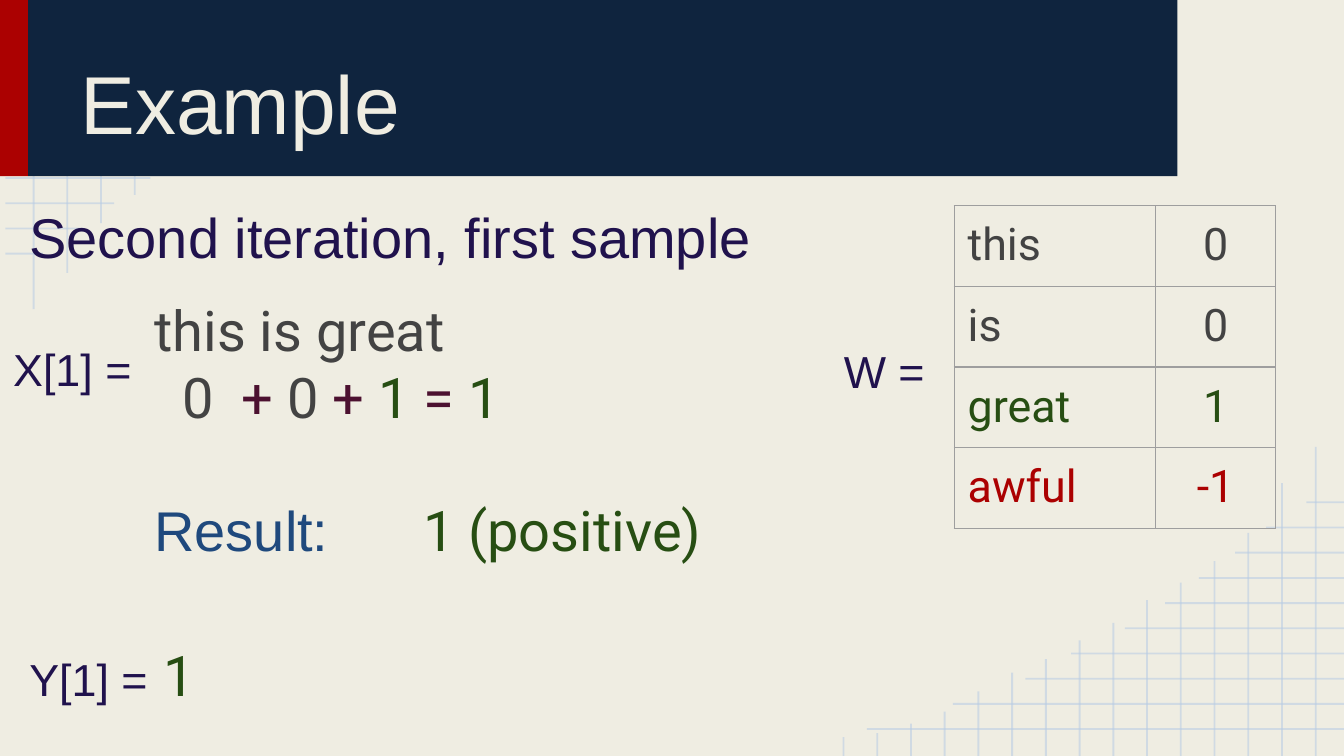
from pptx import Presentation
from pptx.util import Inches, Pt
from pptx.dml.color import RGBColor
from pptx.enum.shapes import MSO_SHAPE, MSO_CONNECTOR
from pptx.enum.text import MSO_ANCHOR, PP_ALIGN
from pptx.oxml import parse_xml
from pptx.oxml.ns import nsdecls
from lxml.etree import SubElement

CREAM, NAVY, RED, GRID = "EFEDE2", "0F243E", "AB0101", "B7CCE4"
INDIGO, GRAY, GREEN, PLUM, BLUE = "20124D", "434343", "274E13", "4C1130", "1F497D"
WIDTH, HEIGHT = 10, 5.625
TOP, MIDDLE, BOTTOM = MSO_ANCHOR.TOP, MSO_ANCHOR.MIDDLE, MSO_ANCHOR.BOTTOM

ROW_ENDS = [3.59, 2.95, 2.41, 2.07, 1.67, 1.37, 1.12, 0.85, 0.62, 0.32]
COLUMN_ENDS = [2.3, 2.03, 1.66, 1.45, 1.29, 1.16, 0.99, 0.86,
               0.72, 0.62, 0.48, 0.33, 0.24, 0.17, 0.14]
BANDS = [(0, 0.21, RED), (0.21, 8.55, NAVY)]

TEXTS = [
    ((0.5, 0.11, 8, 1.11), BOTTOM, 1, [[("Example", 44, "Arial", CREAM)]]),
    ((0.12, 1.41, 7.05, 0.63), TOP, 1,
     [[("Second iteration, first sample", 30, "Arial", INDIGO)]]),
    ((6.18, 1.78, 1.09, 1.89), MIDDLE, 1.15, [[("W =", 24, "Arial", INDIGO)]]),
    ((0, 2.14, 1.09, 1.14), MIDDLE, 1.15, [[("X[1] =", 24, "Arial", INDIGO)]]),
    ((0.12, 4.46, 2.62, 1.04), MIDDLE, 1.15,
     [[("Y[1] =", 24, "Arial", INDIGO), (" ", 30, "Arial", INDIGO),
       ("1", 30, "Roboto", GREEN)]]),
]
SUM = [("0", GRAY), ("  + ", PLUM), ("0", GRAY), (" + ", PLUM),
       ("1", GREEN), (" = ", PLUM), ("1", GREEN)]
WORKING = [
    [("this is great", 30, "Roboto", GRAY)],
    [(text, 30, "Roboto", color) for text, color in SUM],
    [("Result:\t\t", 30, "Arial", BLUE), ("1 (positive)", 30, "Roboto", GREEN)],
]
WEIGHTS = [("this", "0", GRAY), ("is", "0", GRAY),
           ("great", "1", GREEN), ("awful", "-1", RED)]


def rgb(value):
    return RGBColor.from_string(value)


def add_run(p, text, size, font, color):
    r = p.add_run()
    r.text = text
    r.font.size, r.font.name = Pt(size), font
    r.font.color.rgb = rgb(color)


def add_text(box, anchor, spacing, paragraphs):
    tf = s.shapes.add_textbox(*map(Inches, box)).text_frame
    tf.word_wrap, tf.vertical_anchor = True, anchor
    tf.margin_left = tf.margin_right = tf.margin_top = tf.margin_bottom = Inches(0.1)
    for i, runs in enumerate(paragraphs):
        p = tf.add_paragraph() if i else tf.paragraphs[0]
        p.line_spacing = spacing
        for run in runs:
            add_run(p, *run)
    return tf


def add_grid_line(*ends):
    line = s.shapes.add_connector(MSO_CONNECTOR.STRAIGHT, *map(Inches, ends))
    line.line.width = Pt(1)
    line.line.color.rgb = rgb(GRID)
    props = line._element.spPr
    color = props.find(".//{*}srgbClr")
    SubElement(color, color.tag.replace("srgbClr", "alpha"), val="54000")
    props.append(parse_xml(f"<a:effectLst {nsdecls('a')}/>"))


def add_border(cell):
    props = cell._tc.get_or_add_tcPr()
    for i, side in enumerate(("lnL", "lnR", "lnT", "lnB")):
        props.insert(i, parse_xml(
            f'<a:{side} {nsdecls("a")} w="9525"><a:solidFill>'
            f'<a:srgbClr val="9E9E9E"/></a:solidFill></a:{side}>'))


prs = Presentation()
prs.slide_width, prs.slide_height = Inches(WIDTH), Inches(HEIGHT)
s = prs.slides.add_slide(prs.slide_layouts[6])
s.background.fill.solid()
s.background.fill.fore_color.rgb = rgb(CREAM)

grid = [(0.04, 0.2 + 0.1875 * i, end, 0.2 + 0.1875 * i)
        for i, end in enumerate(ROW_ENDS)]
grid += [(0.25 + 0.251 * i, end, 0.25 + 0.251 * i, 0)
         for i, end in enumerate(COLUMN_ENDS)]
for ends in grid:
    add_grid_line(*ends)
for x1, y1, x2, y2 in grid:
    add_grid_line(WIDTH + 0.04 - x1, HEIGHT - y1, WIDTH + 0.04 - x2, HEIGHT - y2)

for left, width, color in BANDS:
    band = s.shapes.add_shape(MSO_SHAPE.RECTANGLE, Inches(left), Inches(-0.01),
                              Inches(width), Inches(1.32))
    band.shadow.inherit = False
    band.fill.solid()
    band.fill.fore_color.rgb = rgb(color)
    band.line.fill.background()

for text in TEXTS:
    add_text(*text)
tf = add_text((1.05, 2.1, 6.18, 2.22), TOP, 1, WORKING)
tf.paragraphs[1]._p.get_or_add_pPr().set("marL", str(Inches(0.21)))
tf.paragraphs[2].space_before = Pt(35)

table = s.shapes.add_table(len(WEIGHTS), 2, Inches(7.1), Inches(1.53),
                           Inches(2.39), Inches(0.59 * len(WEIGHTS))).table
table.first_row = table.horz_banding = False
for column, width in zip(table.columns, (1.5, 0.89)):
    column.width = Inches(width)
for row, (word, weight, color) in zip(table.rows, WEIGHTS):
    row.height = Inches(0.59)
    for cell, text, align in zip(row.cells, (word, weight),
                                 (PP_ALIGN.LEFT, PP_ALIGN.CENTER)):
        cell.fill.background()
        cell.margin_left = cell.margin_right = Inches(0.1)
        cell.margin_top = cell.margin_bottom = Inches(0.1)
        p = cell.text_frame.paragraphs[0]
        p.alignment = align
        add_run(p, text, 24, "Roboto", color)
        add_border(cell)

prs.save("out.pptx")
